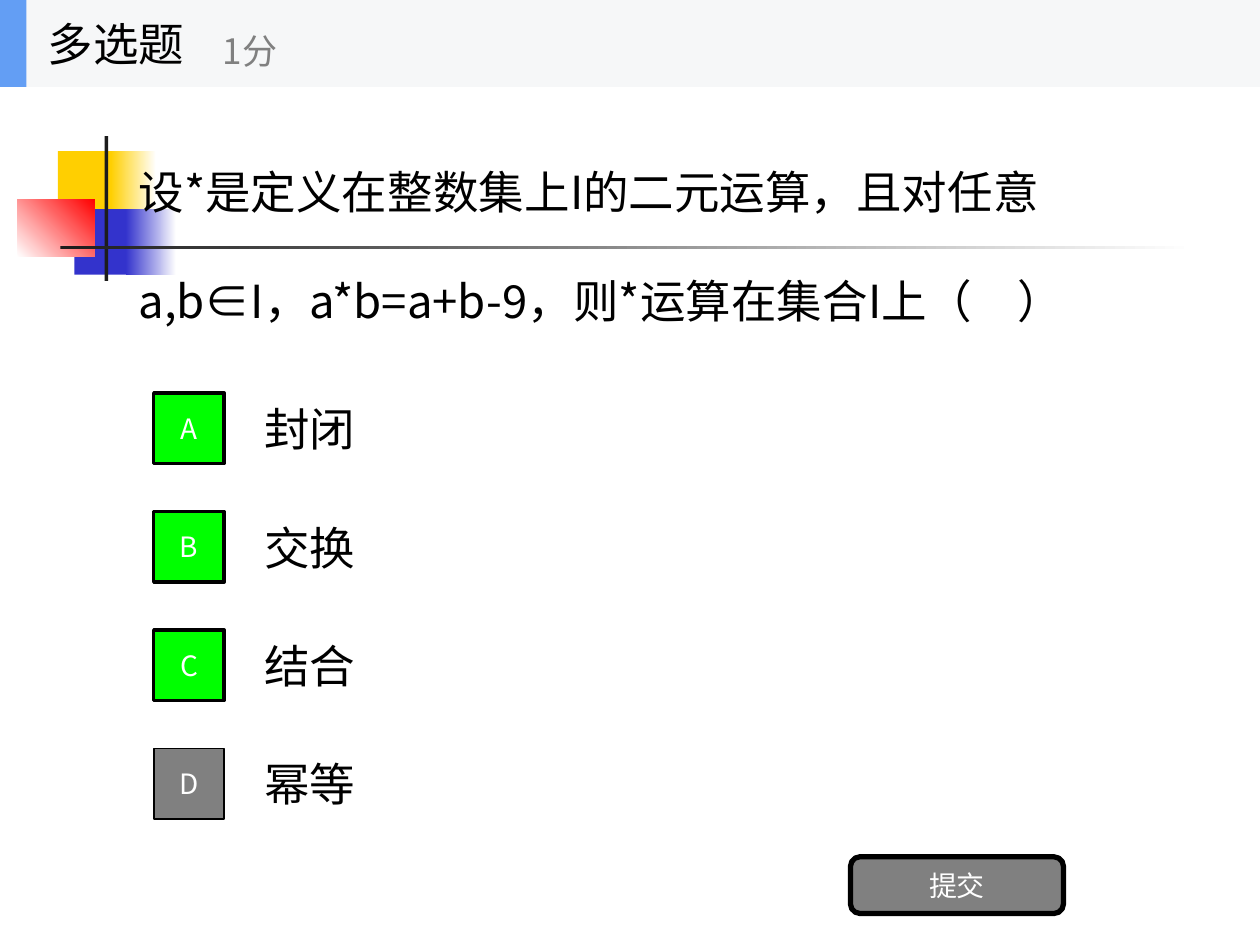
from pptx import Presentation
from pptx.dml.color import RGBColor
from pptx.enum.shapes import MSO_SHAPE as Shape
from pptx.enum.text import MSO_ANCHOR as Anchor, MSO_AUTO_SIZE as AutoSize, PP_ALIGN as Align
from pptx.util import Inches, Pt

FONT = "Noto Sans CJK SC"
BLACK, WHITE, GREY, GREEN = "000000", "FFFFFF", "808080", "00FF00"
YELLOW, BLUE, RED, CHARCOAL = "FFCF01", "3333CC", "FF0000", "1C1C1C"


def color(value):
    return RGBColor.from_string(value)


def write(shape, *texts, size=26, fill=BLACK, align=Align.LEFT, gap=0, line=None):
    """Fill a shape with one paragraph per text; gap and line are in points."""
    frame = shape.text_frame
    frame.word_wrap = True
    frame.auto_size = AutoSize.NONE
    frame.vertical_anchor = Anchor.MIDDLE
    for index, text in enumerate(texts):
        paragraph = frame.add_paragraph() if index else frame.paragraphs[0]
        paragraph.alignment = align
        paragraph.space_before = Pt(gap if index else 0)
        if line:
            paragraph.line_spacing = Pt(line)
        run = paragraph.add_run()
        run.text = text
        run.font.size = Pt(size)
        run.font.name = FONT
        run.font.color.rgb = color(fill)
        properties = run.font._element if hasattr(run.font, "_element") else run._r.get_or_add_rPr()
        east_asian = properties.makeelement(
            "{http://schemas.openxmlformats.org/drawingml/2006/main}ea", {"typeface": FONT})
        properties.append(east_asian)


def add_box(shapes, left, top, width, height, fill, kind=Shape.RECTANGLE,
            fade_to=None, angle=0, border=None):
    shape = shapes.add_shape(kind, Inches(left), Inches(top), Inches(width), Inches(height))
    shape.shadow.inherit = False
    if fade_to:
        shape.fill.gradient()
        shape.fill.gradient_angle = angle
        for stop, value in zip(shape.fill.gradient_stops, (fill, fade_to)):
            stop.color.rgb = color(value)
    else:
        shape.fill.solid()
        shape.fill.fore_color.rgb = color(fill)
    if border:
        shape.line.color.rgb = color(BLACK)
        shape.line.width = Pt(border)
    else:
        shape.line.fill.background()
    return shape


def add_label(shapes, left, top, width, height, text, **text_format):
    label = shapes.add_textbox(Inches(left), Inches(top), Inches(width), Inches(height))
    write(label, text, **text_format)


def add_ornament(shapes, left, top):
    """Coloured blocks crossed by two thin rules."""
    add_box(shapes, left + 0.32, top + 0.12, 0.48, 0.52, YELLOW)
    add_box(shapes, left + 0.74, top + 0.12, 0.36, 0.52, YELLOW, fade_to=WHITE)
    add_box(shapes, left + 0.45, top + 0.58, 0.46, 0.52, BLUE)
    add_box(shapes, left + 0.86, top + 0.58, 0.4, 0.52, BLUE, fade_to=WHITE)
    add_box(shapes, left, top + 0.5, 0.61, 0.46, WHITE, fade_to=RED, angle=45)
    add_box(shapes, left + 0.69, top, 0.03, 1.15, CHARCOAL)
    add_box(shapes, left + 0.34, top + 0.87, 9, 0.03, CHARCOAL, fade_to=WHITE)


def place_question(slide, left, top, width, height):
    title = slide.shapes.title
    title.left, title.top = Inches(left), Inches(top)
    title.width, title.height = Inches(width), Inches(height)
    write(title, "设*是定义在整数集上I的二元运算，且对任意",
          "a,b∈I，a*b=a+b-9，则*运算在集合I上（　）", gap=31, line=31)
    # Bring the question in front of the ornament
    title.element.getparent().append(title.element)


def add_options(shapes, left, top, pitch, options):
    for index, (letter, text, correct) in enumerate(options):
        y = top + index * pitch
        add_label(shapes, left + 0.78, y - 0.07, 7, 0.7, text)
        button = add_box(shapes, left, y, 0.56, 0.56, GREEN if correct else GREY,
                         border=2 if correct else 1)
        write(button, letter, size=16, fill=WHITE, align=Align.CENTER)


def add_submit(shapes, left, top, width, height):
    button = add_box(shapes, left, top, width, height, GREY,
                     kind=Shape.ROUNDED_RECTANGLE, border=3)
    write(button, "提交", size=16, fill=WHITE, align=Align.CENTER)


def add_header(shapes, left, top, width, height):
    group = shapes.add_group_shape().shapes
    add_box(group, left, top, width, height, "F6F7F8")
    add_box(group, left, top, 0.21, height, "639EF4")
    add_label(group, left + 0.28, top, 2.08, height, "多选题")
    add_label(group, left + 1.67, top + 0.12, 2.5, 0.56, "1分", size=20, fill=GREY)


def main():
    presentation = Presentation()
    presentation.slide_width, presentation.slide_height = Inches(10), Inches(7.5)
    slide = presentation.slides.add_slide(presentation.slide_layouts[5])
    shapes = slide.shapes

    add_ornament(shapes, 0.14, 1.08)
    place_question(slide, 1, 0.78, 8, 2.34)
    add_options(shapes, 1.22, 3.12, 0.94, [
        ("A", "封闭", True), ("B", "交换", True), ("C", "结合", True), ("D", "幂等", False)])
    add_submit(shapes, 6.75, 6.8, 1.69, 0.45)
    add_header(shapes, 0, 0, 10, 0.69)
    presentation.save("out.pptx")


if __name__ == "__main__":
    main()
